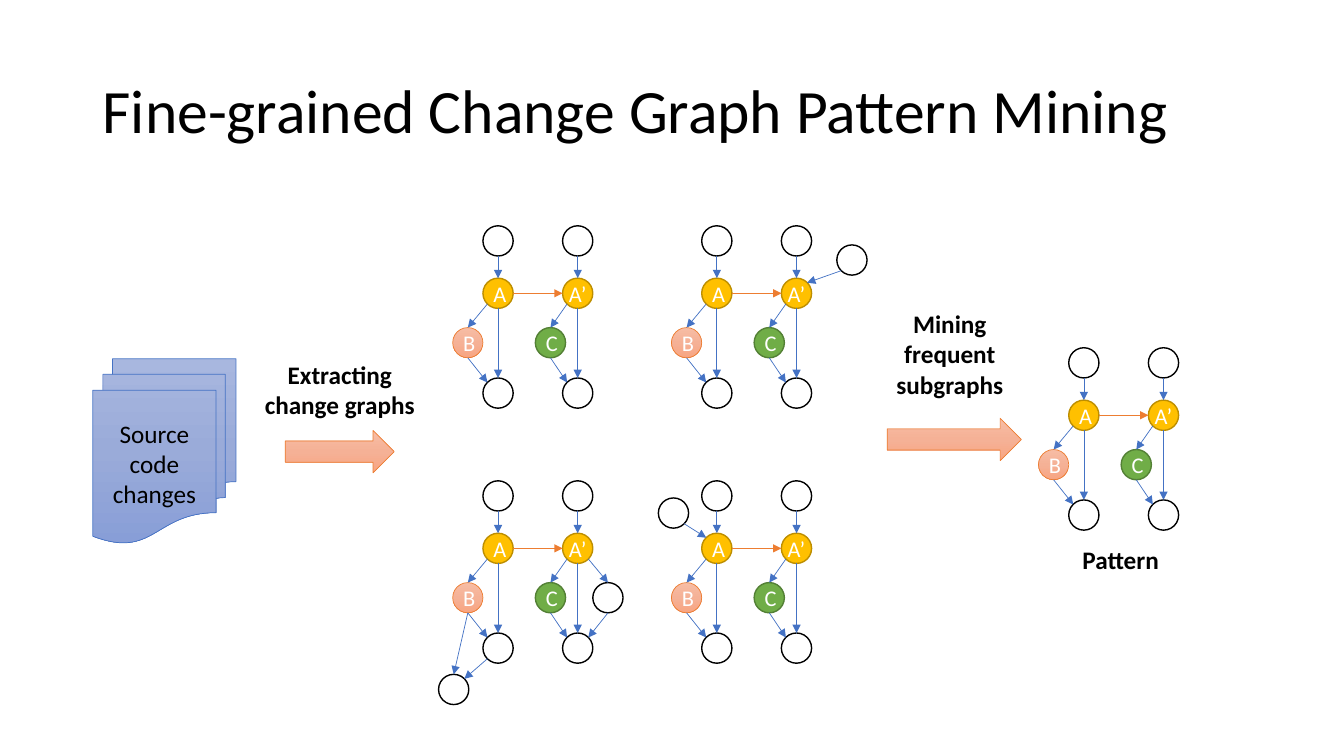
"""Builds the slide on mining patterns from fine-grained change graphs."""
from copy import deepcopy

from lxml.etree import SubElement
from pptx import Presentation
from pptx.dml.color import RGBColor
from pptx.enum.shapes import MSO_CONNECTOR, MSO_SHAPE
from pptx.enum.text import MSO_ANCHOR, PP_ALIGN
from pptx.oxml.ns import qn
from pptx.util import Inches, Pt

BLUE, ORANGE, BLACK, WHITE = "4472C4", "ED7D31", "000000", "FFFFFF"
PEACH_SHADES = ["F7BDA5", "F5B196", "F8A582"]
BLUE_SHADES = ["A8B7DF", "9AABD9", "889ED7"]


def paint(shape, fill, line, width):
    """Fill with one hex colour, or with a list of three as a downward gradient."""
    shape.shadow.inherit = False
    if isinstance(fill, list):
        shape.fill.gradient()
        shape.fill.gradient_angle = 270
        first_stop = shape._element.spPr.find(".//" + qn("a:gs"))
        first_stop.addnext(deepcopy(first_stop))
        for stop, position, shade in zip(shape.fill.gradient_stops, (0, 0.5, 1), fill):
            stop.position = position
            stop.color.rgb = RGBColor.from_string(shade)
    else:
        shape.fill.solid()
        shape.fill.fore_color.rgb = RGBColor.from_string(fill)
    shape.line.color.rgb = RGBColor.from_string(line)
    shape.line.width = Pt(width)


def write(shape, text, size, color, bold=False, align=PP_ALIGN.CENTER,
          anchor=MSO_ANCHOR.MIDDLE, inset=None, wrap=True):
    """Set the text of a shape and format all its runs."""
    frame = shape.text_frame
    frame.text = text
    frame.word_wrap = wrap
    frame.vertical_anchor = anchor
    if inset is not None:
        frame.margin_left = frame.margin_right = Inches(inset)
        frame.margin_top = frame.margin_bottom = Inches(inset)
    for paragraph in frame.paragraphs:
        paragraph.alignment = align
        for run in paragraph.runs:
            run.font.name = "Calibri"
            run.font.size = Pt(size)
            run.font.bold = bold
            run.font.color.rgb = RGBColor.from_string(color)


deck = Presentation()
deck.slide_width, deck.slide_height = Inches(13.33), Inches(7.5)
slide = deck.slides.add_slide(deck.slide_layouts[6])
shapes = slide.shapes

title = shapes.add_textbox(Inches(0.92), Inches(0.4), Inches(11.5), Inches(1.45))
write(title, "Fine-grained Change Graph Pattern Mining", 44, BLACK, align=PP_ALIGN.LEFT)
title.text_frame.paragraphs[0].line_spacing = 0.9

source_changes = shapes.add_shape(MSO_SHAPE.FLOWCHART_MULTIDOCUMENT, Inches(0.92),
                                  Inches(3.56), Inches(1.42), Inches(1.83))
paint(source_changes, BLUE_SHADES, BLUE, 0.5)
write(source_changes, "Source code\nchanges", 18, BLACK)

for left, top, width in [(2.83, 4.27, 1.08), (8.8, 4.15, 1.33)]:
    step_arrow = shapes.add_shape(MSO_SHAPE.RIGHT_ARROW, Inches(left), Inches(top),
                                  Inches(width), Inches(0.42))
    paint(step_arrow, PEACH_SHADES, ORANGE, 0.5)

for text, left, top, width, height, wrap in [
    ("Extracting change graphs", 2.58, 3.56, 1.58, 0.61, True),
    ("Mining frequent subgraphs", 8.63, 3.06, 1.58, 0.91, True),
    ("Pattern", 10.73, 5.4, 0.77, 0.3, False),
]:
    label = shapes.add_textbox(Inches(left), Inches(top), Inches(width), Inches(height))
    write(label, text, 18, BLACK, bold=True, anchor=MSO_ANCHOR.TOP, inset=0, wrap=wrap)

NODE_SIZE = 0.3
NODE_STYLES = {
    "A": ("FFC000", "BD8E00", 1, 0.06),
    "A’": ("FFC000", "BD8E00", 1, 0),
    "B": (PEACH_SHADES, ORANGE, 0.5, 0.06),
    "C": ("70AD47", "538035", 1, 0.06),
}
SITES = {
    "N": (0.5, 0), "E": (1, 0.5), "S": (0.5, 1),
    "NW": (0.15, 0.15), "NE": (0.85, 0.15), "SW": (0.15, 0.85), "SE": (0.85, 0.85),
    "W": (0, 0.5),
}
PATTERN_NODES = {
    "A": (0.3, 0.52), "A’": (1.09, 0.52), "B": (0, 1.01), "C": (0.82, 1.01),
    "old top": (0.3, 0), "new top": (1.09, 0),
    "old end": (0.3, 1.51), "new end": (1.09, 1.51),
}
PATTERN_EDGES = [
    ("A", "E", "A’", "W"),
    ("old top", "S", "A", "N"), ("new top", "S", "A’", "N"),
    ("A", "SW", "B", "N"), ("A’", "SW", "C", "N"),
    ("B", "S", "old end", "NW"), ("C", "S", "new end", "NW"),
    ("A", "S", "old end", "N"), ("A’", "S", "new end", "N"),
]
GRAPHS = [
    (4.49, 2.24, {}, []),
    (10.3, 3.45, {}, []),
    (6.66, 2.24, {"caller": (1.64, 0.19)}, [("caller", "SW", "A’", "NE")]),
    (4.49, 4.77, {"tail": (-0.14, 1.92), "side": (1.39, 1.01)}, [
        ("old end", "SW", "tail", "NE"), ("B", "S", "tail", "N"),
        ("A’", "SE", "side", "N"), ("side", "S", "new end", "NE"),
    ]),
    (6.66, 4.77, {"caller": (-0.13, 0.17)}, [("caller", "SE", "A", "NW")]),
]

for graph_left, graph_top, extra_nodes, extra_edges in GRAPHS:
    nodes = {**PATTERN_NODES, **extra_nodes}
    for name, (x, y) in nodes.items():
        node = shapes.add_shape(MSO_SHAPE.OVAL, Inches(graph_left + x), Inches(graph_top + y),
                                Inches(NODE_SIZE), Inches(NODE_SIZE))
        fill, line, width, inset = NODE_STYLES.get(name, (WHITE, BLACK, 1, 0))
        paint(node, fill, line, width)
        if name in NODE_STYLES:
            write(node, name, 16, WHITE, inset=inset)

    for start, start_site, end, end_site in PATTERN_EDGES + extra_edges:
        points = []
        for name, site in [(start, start_site), (end, end_site)]:
            points.append(Inches(graph_left + nodes[name][0] + NODE_SIZE * SITES[site][0]))
            points.append(Inches(graph_top + nodes[name][1] + NODE_SIZE * SITES[site][1]))
        edge = shapes.add_connector(MSO_CONNECTOR.STRAIGHT, *points)
        edge_color = ORANGE if (start, end) == ("A", "A’") else BLUE
        edge.line.color.rgb = RGBColor.from_string(edge_color)
        edge.line.width = Pt(0.5)
        SubElement(edge.line._get_or_add_ln(), qn("a:tailEnd"), type="triangle")
        SubElement(edge._element.spPr, qn("a:effectLst"))

deck.save("out.pptx")
